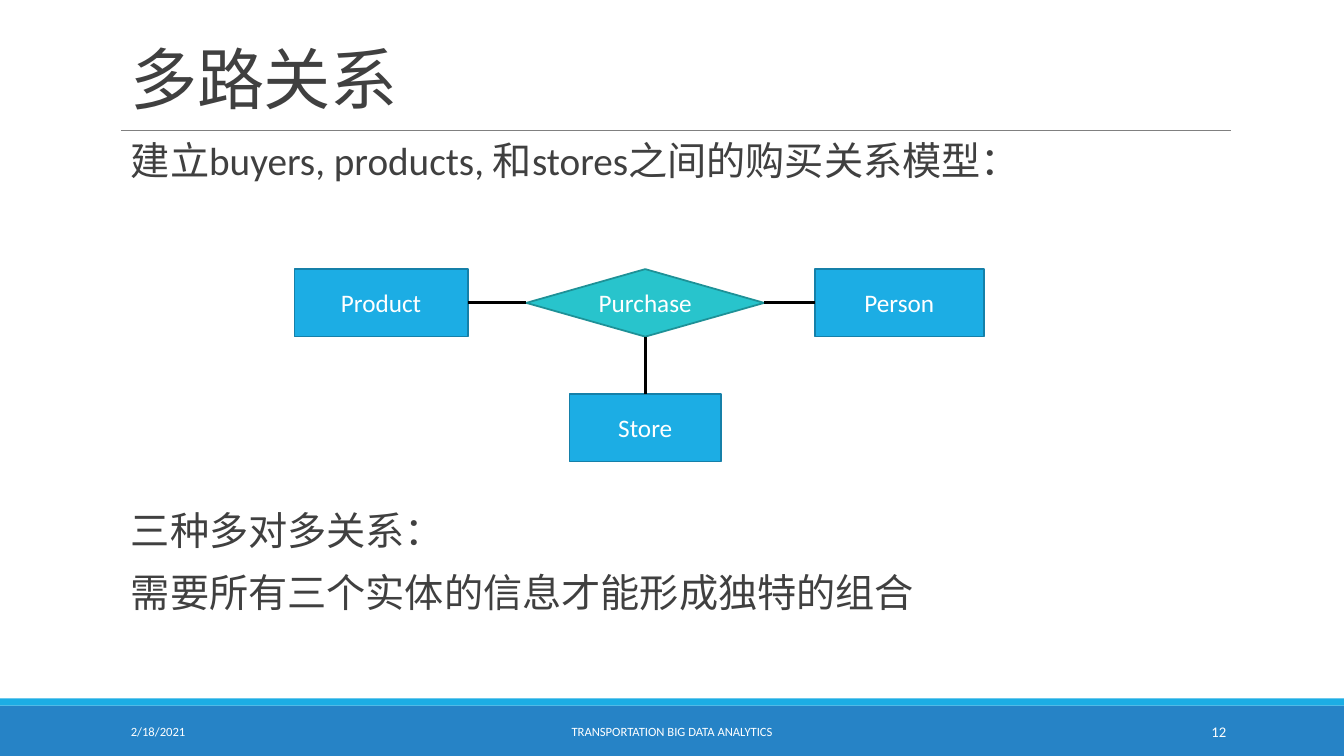
from pptx import Presentation
from pptx.dml.color import RGBColor
from pptx.enum.shapes import MSO_CONNECTOR as Conn, MSO_SHAPE as Geo
from pptx.enum.text import MSO_ANCHOR as Anchor, PP_ALIGN as Align
from pptx.oxml.ns import qn
from pptx.util import Inches, Pt
from lxml import etree

# Content
TITLE = "多路关系"
# lines, top, height
BODY = [
    (["建立buyers, products, 和stores之间的购买关系模型："], 1.36, 0.7),
    (["三种多对多关系：", "需要所有三个实体的信息才能形成独特的组合"], 5.03, 1.86),
]
# name: shape, centre x, top, width, fill, edge
NODES = {
    "Purchase": (Geo.FLOWCHART_DECISION, 6.4, 2.67, 2.36, "teal", "teal_edge"),
    "Product": (Geo.RECTANGLE, 3.78, 2.67, 1.72, "sky", "sky_edge"),
    "Store": (Geo.RECTANGLE, 6.4, 3.91, 1.5, "sky", "sky_edge"),
    "Person": (Geo.RECTANGLE, 8.92, 2.67, 1.68, "sky", "sky_edge"),
}
# from, side, to, side (0 top, 1 left, 2 bottom, 3 right)
LINKS = [
    ("Purchase", 1, "Product", 3),
    ("Purchase", 3, "Person", 1),
    ("Purchase", 2, "Store", 0),
]
# text, left, width, size, alignment
FOOTER = [
    ("2/18/2021", 1.2, 2.7, "foot", Align.LEFT),
    ("TRANSPORTATION BIG DATA ANALYTICS", 4.03, 5.27, "foot", Align.CENTER),
    ("12", 10.83, 1.43, "page", Align.RIGHT),
]
# top, height, fill
BARS = [(7, 0.5, "blue"), (6.93, 0.07, "sky")]

THEME = {
    "font": "Calibri",
    "color": {
        "ink": "404040", "white": "FFFFFF", "black": "000000",
        "rule": "808080", "blue": "2683C6", "sky": "1CADE4",
        "sky_edge": "1580A9", "teal": "28C4CC", "teal_edge": "1E9197",
    },
    "size": {"title": 48, "body": 28, "node": 18, "page": 10.5, "foot": 9},
}
WIDE, HIGH = 13.33, 7.5
LEFT, SPAN = 1.2, 11
NODE_H = 0.67


def color(name):
    return RGBColor.from_string(THEME["color"][name])


def write(frame, lines, size, ink="white", align=Align.LEFT,
          anchor=Anchor.MIDDLE, wrap=True, lead=None, before=0, after=0,
          track=None):
    frame.word_wrap = wrap
    frame.vertical_anchor = anchor
    for i, line in enumerate(lines):
        para = frame.paragraphs[0] if i == 0 else frame.add_paragraph()
        para.alignment = align
        para.line_spacing = lead
        para.space_before = Pt(before if i else 0)
        para.space_after = Pt(after)
        run = para.add_run()
        run.text = line
        run.font.name = THEME["font"]
        run.font.size = Pt(THEME["size"][size])
        run.font.color.rgb = color(ink)
        props = run.font._element
        if track is not None:
            props.set("spc", str(track))


def label(lines, x, y, w, h, size, **style):
    box = slide.shapes.add_textbox(Inches(x), Inches(y), Inches(w), Inches(h))
    write(box.text_frame, lines, size, **style)
    return box


def block(geo, x, y, w, h, fill, edge=None):
    part = slide.shapes.add_shape(geo, Inches(x), Inches(y), Inches(w), Inches(h))
    part.shadow.inherit = False
    part.fill.solid()
    part.fill.fore_color.rgb = color(fill)
    if edge:
        part.line.color.rgb = color(edge)
        part.line.width = Pt(1.25)
    else:
        part.line.fill.background()
    return part


def stroke(x1, y1, x2, y2, ink, width):
    line = slide.shapes.add_connector(
        Conn.STRAIGHT, Inches(x1), Inches(y1), Inches(x2), Inches(y2))
    line.line.color.rgb = color(ink)
    line.line.width = Pt(width)
    etree.SubElement(line._element.spPr, qn("a:effectLst"))
    return line


deck = Presentation()
deck.slide_width, deck.slide_height = Inches(WIDE), Inches(HIGH)
slide = deck.slides.add_slide(deck.slide_layouts[6])

# Bottom bars and title rule
for top, high, fill in BARS:
    block(Geo.RECTANGLE, 0, top, WIDE, high, fill)
stroke(LEFT, 1.29, 12.21, 1.29, "rule", 0.5)

# Title and body text
label([TITLE], LEFT, 0.13, SPAN, 1.09, "title", ink="ink",
      anchor=Anchor.BOTTOM, lead=0.85, track=-50)
for lines, top, high in BODY:
    label(lines, LEFT, top, SPAN, high, "body", ink="ink",
          anchor=Anchor.TOP, lead=0.9, before=12, after=2)

# Entities and their relationship
parts = {}
for name, (geo, mid, top, wide, fill, edge) in NODES.items():
    parts[name] = block(geo, mid - wide / 2, top, wide, NODE_H, fill, edge)
    write(parts[name].text_frame, [name], "node", align=Align.CENTER, wrap=False)

for start, side, end, face in LINKS:
    link = stroke(0, 0, 1, 1, "black", 2.25)
    link.begin_connect(parts[start], side)
    link.end_connect(parts[end], face)

# Footer
for text, x, wide, size, align in FOOTER:
    label([text], x, 7.06, wide, 0.4, size, align=align)

deck.save("out.pptx")
